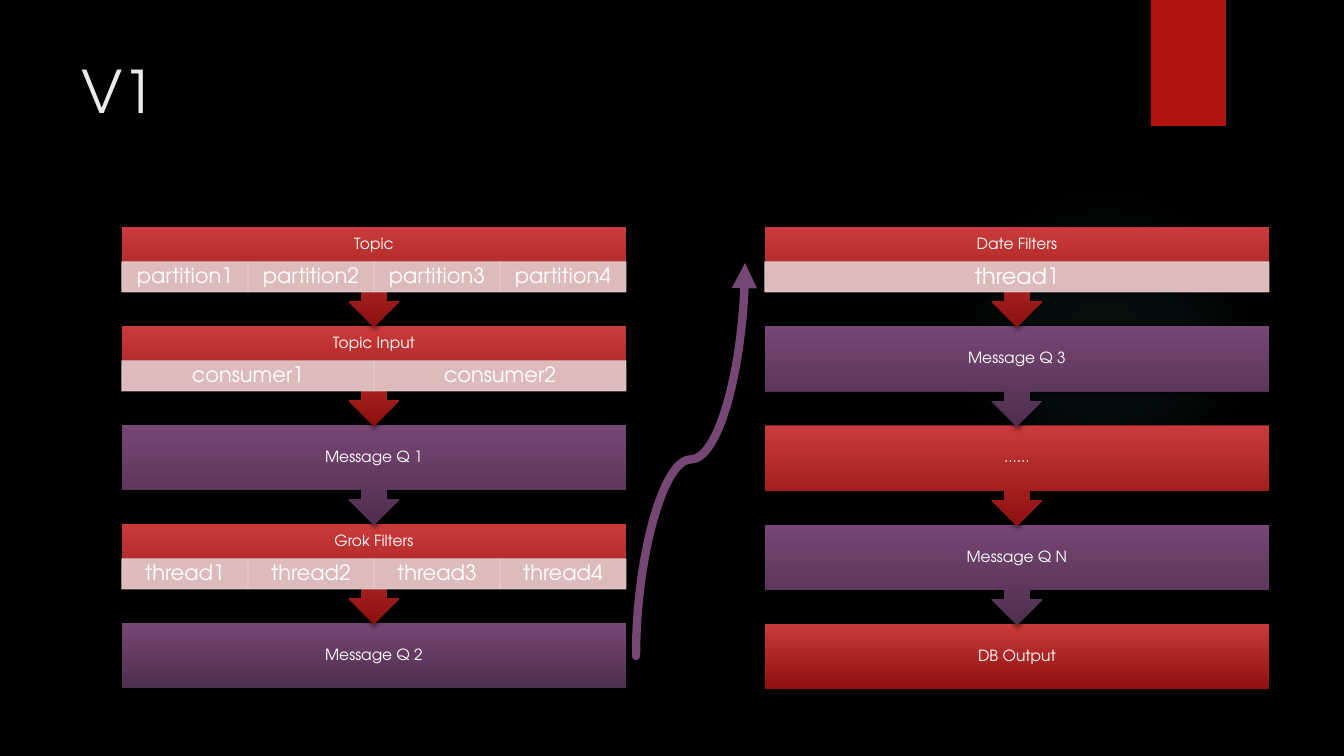
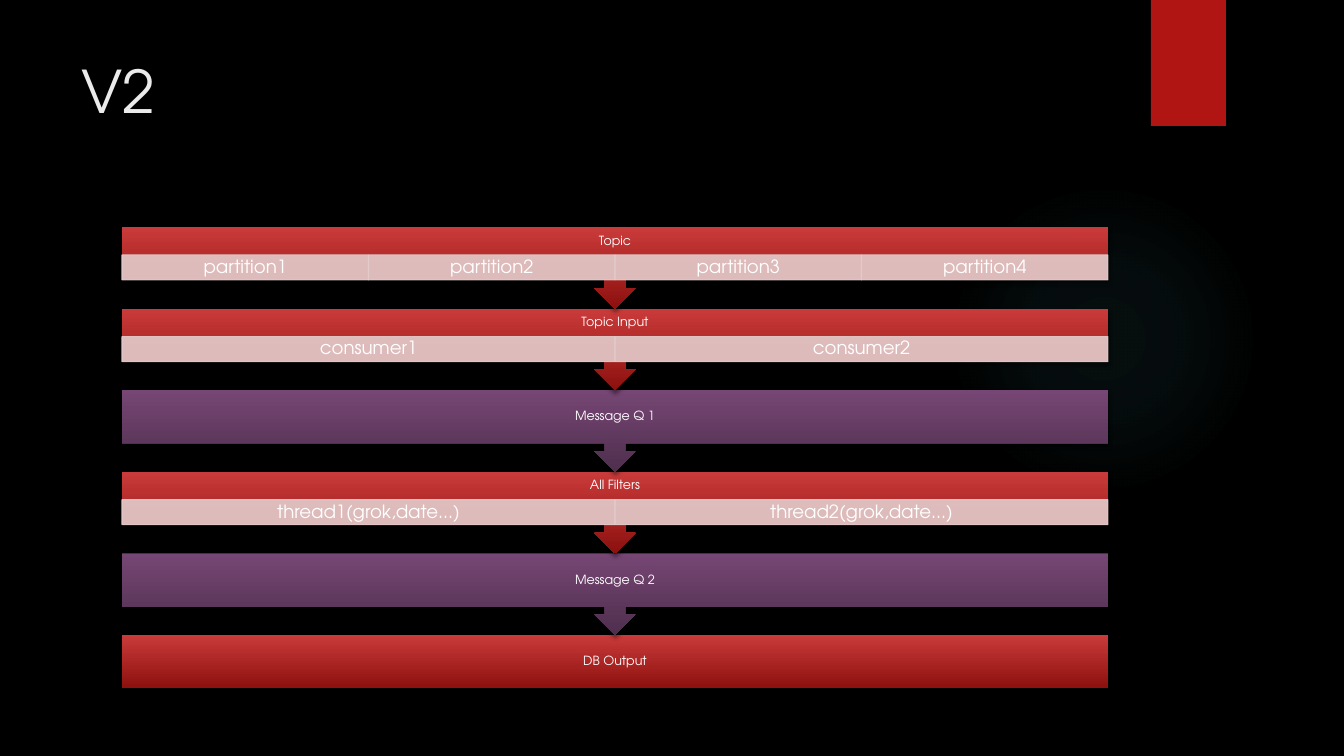
import dataclasses

import pptx
import pptx.dml.color
import pptx.enum.dml
import pptx.enum.shapes
import pptx.enum.text
import pptx.oxml
import pptx.oxml.ns
import pptx.util
from lxml import etree

EMU_PER_PX = 12192000 / 1344
SHAPES = pptx.enum.shapes.MSO_SHAPE
ANCHOR = pptx.enum.text.MSO_ANCHOR
ALIGN = pptx.enum.text.PP_ALIGN


@dataclasses.dataclass(frozen=True)
class Theme:
    font: str = "TeX Gyre Adventor"
    background: str = "000000"
    title: str = "EBEBEB"
    text: str = "FFFFFF"
    tab: str = "B01513"
    glow: str = "50B9C1"
    glow_stops: tuple = ((0, 7), (36, 6), (69, 0))
    red: tuple = ("C93B3A", "8D110F")
    purple: tuple = ("764674", "4F2F4E")
    cell: str = "E4CCCC"
    cell_alpha: int = 90
    title_size: int = 42


THEME = Theme()


@dataclasses.dataclass(frozen=True)
class Stage:
    label: str
    colors: tuple
    cells: tuple = ()


@dataclasses.dataclass(frozen=True)
class Flow:
    """Place and sizes of one top-down chain of stages."""
    left: int
    width: int
    first_top: int
    last_top: int
    body: int
    header: int
    cell_height: int
    label_size: int
    cell_size: int


V1_LEFT = Flow(122, 504, 227, 623, 65, 35, 30, 11, 15)
V1_RIGHT = dataclasses.replace(V1_LEFT, left=765, last_top=624, cell_size=16)
V2_FLOW = Flow(122, 986, 227, 635, 53, 28, 25, 9, 13)


def numbered(word, count, suffix=""):
    return tuple(f"{word}{number}{suffix}" for number in range(1, count + 1))


SOURCE = Stage("Topic", THEME.red, numbered("partition", 4))
INPUT = Stage("Topic Input", THEME.red, numbered("consumer", 2))
OUTPUT = Stage("DB Output", THEME.red)


def queue(name):
    return Stage(f"Message Q {name}", THEME.purple)


V1_FIRST_HALF = (
    SOURCE,
    INPUT,
    queue(1),
    Stage("Grok Filters", THEME.red, numbered("thread", 4)),
    queue(2),
)
V1_SECOND_HALF = (
    Stage("Date Filters", THEME.red, numbered("thread", 1)),
    queue(3),
    Stage("......", THEME.red),
    queue("N"),
    OUTPUT,
)
V2_STAGES = (
    SOURCE,
    INPUT,
    queue(1),
    Stage("All Filters", THEME.red, numbered("thread", 2, "(grok,date...)")),
    queue(2),
    OUTPUT,
)


def px(value):
    return pptx.util.Emu(round(value * EMU_PER_PX))


def rgb(color):
    return pptx.dml.color.RGBColor.from_string(color)


def set_all(target, values):
    for name, value in values.items():
        setattr(target, name, value)


def append_xml(parent, body):
    """Append one DrawingML element, given without its namespace declaration."""
    tag, rest = body.split(" ", 1)
    namespace = pptx.oxml.ns.nsdecls("a")
    parent.append(pptx.oxml.parse_xml(f"{tag} {namespace} {rest}"))


def add_shadow(shape):
    append_xml(
        shape.element.spPr,
        '<a:effectLst ><a:outerShdw blurRad="38100" dist="25400" dir="5400000" '
        'rotWithShape="0"><a:srgbClr val="000000"><a:alpha val="45000"/>'
        "</a:srgbClr></a:outerShdw></a:effectLst>",
    )


def add_box(slide, kind, left, top, width, height):
    shape = slide.shapes.add_shape(kind, px(left), px(top), px(width), px(height))
    shape.line.fill.background()
    return shape


def write_text(shape, text, size, color=THEME.text, align=ALIGN.CENTER,
               anchor=ANCHOR.MIDDLE, spacing=0.9, margins=None):
    frame = shape.text_frame
    frame.text = text
    set_all(frame, {
        "word_wrap": True,
        "auto_size": pptx.enum.text.MSO_AUTO_SIZE.NONE,
        "vertical_anchor": anchor,
    })
    set_all(frame, margins or {})
    paragraph = frame.paragraphs[0]
    set_all(paragraph, {"alignment": align, "line_spacing": spacing})
    font = paragraph.runs[0].font
    set_all(font, {"name": THEME.font, "size": pptx.util.Pt(size), "bold": False})
    font.color.rgb = rgb(color)


def fill_gradient(shape, colors):
    shape.fill.gradient()
    shape.fill.gradient_angle = 270
    for stop, position, color in zip(shape.fill.gradient_stops, (0, 1), colors):
        stop.position = position
        stop.color.rgb = rgb(color)


def set_translucent(fill, color, holder, alpha):
    """Fill solidly; holder is the XML element that owns the solid fill."""
    fill.solid()
    fill.fore_color.rgb = rgb(color)
    color_element = holder.find(pptx.oxml.ns.qn("a:solidFill"))[0]
    append_xml(color_element, f'<a:alpha val="{alpha * 1000}"/>')


def add_glow(slide):
    glow = add_box(slide, SHAPES.OVAL, 949, 184, 310, 310)
    glow.shadow.inherit = False
    glow.fill.background()
    properties = glow.element.spPr
    no_fill = properties.find(pptx.oxml.ns.qn("a:noFill"))
    stops = "".join(
        f'<a:gs pos="{position * 1000}"><a:srgbClr val="{THEME.glow}">'
        f'<a:alpha val="{alpha * 1000}"/></a:srgbClr></a:gs>'
        for position, alpha in THEME.glow_stops
    )
    append_xml(
        properties,
        f'<a:gradFill ><a:gsLst>{stops}</a:gsLst><a:path path="circle">'
        '<a:fillToRect l="50000" t="50000" r="50000" b="50000"/></a:path></a:gradFill>',
    )
    properties.replace(no_fill, properties[-1])
    return glow


def add_tab(slide):
    tab = add_box(slide, SHAPES.RECTANGLE, 1151, 0, 75, 126)
    tab.fill.solid()
    tab.fill.fore_color.rgb = rgb(THEME.tab)
    add_shadow(tab)
    return tab


def decorate_layout(layout, slide):
    """Build the shared parts on a slide and move them behind the layout's own."""
    for index, part in enumerate((add_glow(slide), add_tab(slide))):
        part.element.nvSpPr.cNvPr.set("id", str(100 + index))
        layout.shapes.element.insert(2 + index, part.element)


def add_title(slide, text):
    title = slide.shapes.title
    set_all(title, {"left": px(71), "top": px(50),
                    "width": px(1037), "height": px(154)})
    write_text(title, text, THEME.title_size, THEME.title, ALIGN.LEFT,
               ANCHOR.TOP, 1.0)


def add_cells(slide, flow, top, labels):
    width = flow.width / len(labels)
    margins = {"margin_left": px(12), "margin_right": px(12),
               "margin_top": px(2), "margin_bottom": px(2)}
    for column, label in enumerate(labels):
        cell = add_box(slide, SHAPES.RECTANGLE, flow.left + column * width, top,
                       width, flow.cell_height)
        cell.shadow.inherit = False
        cell.line.width = pptx.util.Pt(0.75)
        properties = cell.element.spPr
        for fill, holder in ((cell.fill, properties), (cell.line.fill, properties.ln)):
            set_translucent(fill, THEME.cell, holder, THEME.cell_alpha)
        write_text(cell, label, flow.cell_size, margins=margins)


def add_stage(slide, flow, top, stage, is_last):
    kind = SHAPES.RECTANGLE if is_last else SHAPES.DOWN_ARROW_CALLOUT
    height = flow.body if is_last else flow.body / 0.65
    box = add_box(slide, kind, flow.left, top, flow.width, height)
    fill_gradient(box, stage.colors)
    add_shadow(box)
    below_header = flow.body - flow.header if stage.cells else 0
    write_text(box, stage.label, flow.label_size,
               margins={"margin_top": 0, "margin_bottom": px(below_header)})
    if stage.cells:
        add_cells(slide, flow, top + flow.header, stage.cells)


def add_flow(slide, flow, stages):
    """Draw from the bottom up, so each arrow lies over the stage below it."""
    last = len(stages) - 1
    pitch = (flow.last_top - flow.first_top) / last
    for index in range(last, -1, -1):
        add_stage(slide, flow, flow.first_top + index * pitch, stages[index],
                  index == last)


def add_rising_curve(slide, start, end):
    """S-curve that leaves and arrives vertically: a level one turned by 90°."""
    middle_x, middle_y = (start[0] + end[0]) / 2, (start[1] + end[1]) / 2
    half_width, half_height = (start[1] - end[1]) / 2, (end[0] - start[0]) / 2
    curve = slide.shapes.add_connector(
        pptx.enum.shapes.MSO_CONNECTOR.CURVE,
        px(middle_x + half_width), px(middle_y + half_height),
        px(middle_x - half_width), px(middle_y - half_height),
    )
    properties = curve.element.spPr
    properties.xfrm.set("rot", "5400000")
    curve.line.width = pptx.util.Pt(6)
    curve.line.color.rgb = rgb(THEME.purple[0])
    properties.ln.set("cap", "rnd")
    append_xml(properties.ln, '<a:tailEnd type="triangle"/>')
    etree.SubElement(properties, pptx.oxml.ns.qn("a:effectLst"))


def main():
    presentation = pptx.Presentation()
    set_all(presentation, {"slide_width": px(1344), "slide_height": px(756)})
    background = presentation.slide_master.background.fill
    background.solid()
    background.fore_color.rgb = rgb(THEME.background)
    layout = presentation.slide_layouts.get_by_name("Title Only")

    version_1 = presentation.slides.add_slide(layout)
    decorate_layout(layout, version_1)
    add_title(version_1, "V1")
    add_flow(version_1, V1_LEFT, V1_FIRST_HALF)
    add_flow(version_1, V1_RIGHT, V1_SECOND_HALF)
    add_rising_curve(version_1, (636, 656), (745, 263))

    version_2 = presentation.slides.add_slide(layout)
    add_title(version_2, "V2")
    add_flow(version_2, V2_FLOW, V2_STAGES)

    presentation.save("out.pptx")


if __name__ == "__main__":
    main()
